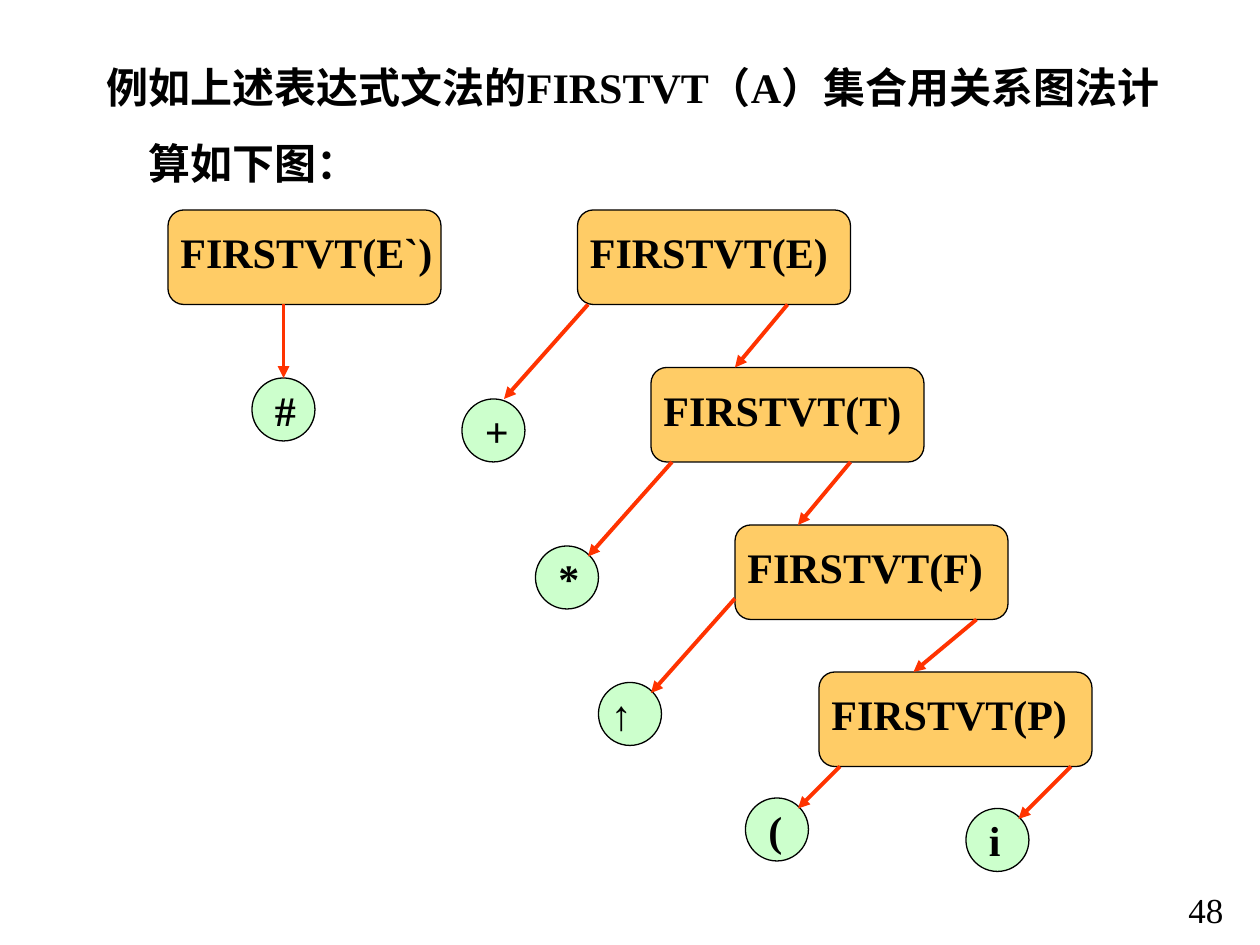
import pptx
import pptx.util
import pptx.dml.color
import pptx.enum.shapes
import pptx.oxml.ns
from lxml import etree

Pt = pptx.util.Pt
MSO_SHAPE = pptx.enum.shapes.MSO_SHAPE
COLORS = {"text": "000000", "set": "FFCC66", "terminal": "CCFFCC", "arrow": "FF3300"}
rgb = {part: pptx.dml.color.RGBColor.from_string(code) for part, code in COLORS.items()}


def add_label(shapes, text, left, top, width, height, size=24, bold=True):
    label = shapes.add_textbox(Pt(left), Pt(top), Pt(width), Pt(height))
    label.text_frame.word_wrap = True
    label.text_frame.text = text
    for paragraph in label.text_frame.paragraphs:
        for run in paragraph.runs:
            run.font.name = "Times New Roman"
            run.font.size = Pt(size)
            run.font.bold = bold
            run.font.color.rgb = rgb["text"]
    return label


def add_node(kind, color, text, left, top, width, height, label_box):
    group = slide.shapes.add_group_shape()
    outline = group.shapes.add_shape(kind, Pt(left), Pt(top), Pt(width), Pt(height))
    outline.shadow.inherit = False
    outline.fill.solid()
    outline.fill.fore_color.rgb = rgb[color]
    outline.line.color.rgb = rgb["text"]
    outline.line.width = Pt(0.75)
    add_label(group.shapes, text, *label_box)


presentation = pptx.Presentation()
presentation.slide_width = Pt(720)
presentation.slide_height = Pt(540)
slide = presentation.slides.add_slide(presentation.slide_layouts[6])

add_label(slide.shapes, "48", 672, 504, 48, 32, size=20, bold=False)

heading = add_label(
    slide.shapes,
    "例如上述表达式文法的FIRSTVT（A）集合用关系图法计\n算如下图：",
    54, 31.5, 652, 80,
)
second_line = heading.text_frame.paragraphs[1]
second_line.space_before = Pt(15)
second_line._p.get_or_add_pPr().set("marL", str(Pt(24)))

nonterminals = [("E`", 96, 120), ("E", 330, 120), ("T", 372, 210), ("F", 420, 300), ("P", 468, 384)]
for symbol, left, top in nonterminals:
    add_node(MSO_SHAPE.ROUNDED_RECTANGLE, "set", f"FIRSTVT({symbol})",
             left, top, 156, 54, (left, top + 6, 168, 36))

terminals = [
    ("#", 144, 216, 6), ("+", 264, 228, 6), ("*", 306, 312, 6),
    ("↑", 342, 390, 0), ("(", 426, 456, 6), ("i", 552, 462, 6),
]
for symbol, left, top, label_shift in terminals:
    add_node(MSO_SHAPE.OVAL, "terminal", symbol,
             left, top, 36, 36, (left + label_shift, top, 36, 36))

relations = [
    (162, 174, 162, 216), (336, 174, 288, 228), (384, 264, 336, 318),
    (420, 342, 372, 396), (480, 438, 456, 462), (612, 438, 582, 468),
    (450, 174, 420, 210), (486, 264, 456, 300), (558, 354, 522, 384),
]
for ends in relations:
    arrow = slide.shapes.add_connector(
        pptx.enum.shapes.MSO_CONNECTOR.STRAIGHT, *[Pt(value) for value in ends])
    arrow.line.color.rgb = rgb["arrow"]
    arrow.line.width = Pt(2.25)
    etree.SubElement(arrow.line._get_or_add_ln(), pptx.oxml.ns.qn("a:tailEnd"), type="triangle")
    etree.SubElement(arrow._element.spPr, pptx.oxml.ns.qn("a:effectLst"))

presentation.save("out.pptx")
